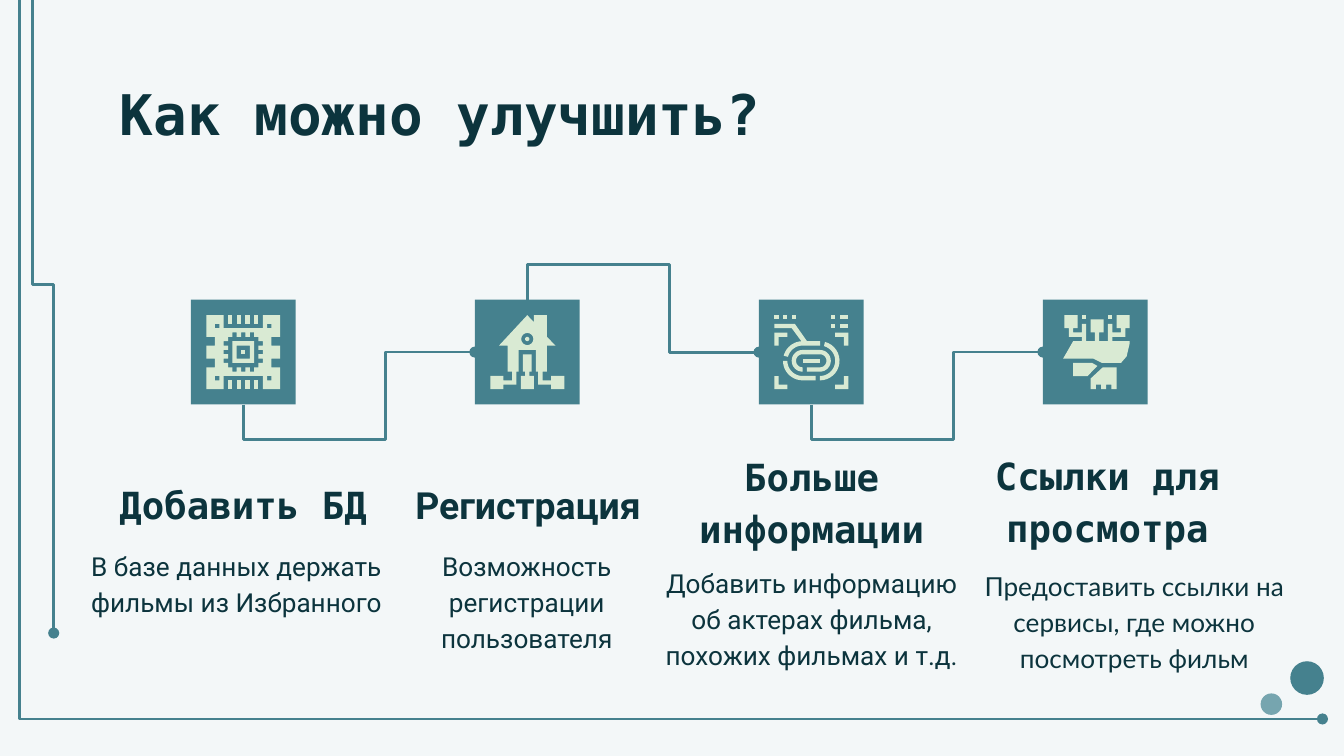
from math import cos, radians, sin

from lxml.etree import SubElement
from pptx import Presentation
from pptx.dml.color import RGBColor
from pptx.enum.shapes import MSO_CONNECTOR as CONN, MSO_SHAPE as SHAPE
from pptx.enum.text import MSO_ANCHOR as ANCHOR, MSO_AUTO_SIZE as AUTO, PP_ALIGN as ALIGN
from pptx.oxml.ns import qn
from pptx.util import Inches, Pt

THEME = {
    "bg": "F3F7F8", "teal": "45818E", "soft": "76A5AF", "icon": "D9EAD3", "text": "0C343D",
    "mono": "DejaVu Sans Mono", "sans": "Roboto", "alt": "Lato",
    "title": 30, "head": 20, "body": 14, "line": 1.5, "spacing": 1.15,
}

TITLE = "Как можно улучшить?"
CARDS = [
    {"head": ("Добавить БД", "mono", (0.78, 3.52, 2.06, 0.5)),
     "body": ("В базе данных держать фильмы из Избранного", "sans", (0.56, 3.96, 2.4, 0.63))},
    {"head": ("Регистрация", "sans", (2.9, 3.52, 2.06, 0.5)),
     "body": ("Возможность регистрации пользователя", "sans", (2.89, 3.96, 2.06, 0.63))},
    {"head": ("Больше информации", "mono", (5.01, 3.7, 2.06, 0.5)),
     "body": ("Добавить информацию об актерах фильма, похожих фильмах и т.д.", "sans",
              (4.78, 4.09, 2.52, 0.63))},
    {"head": ("Ссылки для просмотра", "mono", (7.21, 3.69, 2.06, 0.5)),
     "body": ("Предоставить ссылки на сервисы, где можно посмотреть фильм", "alt",
              (7.18, 4.11, 2.52, 0.63))},
]
DISCS = [(9.38, 5.16, 0.16, "soft"), (9.6, 4.92, 0.25, "teal")]
TILE_LEFT, TILE_LAST, TILE_TOP, TILE = 1.42, 7.76, 2.23, 0.78
ICON, GRID = 0.55, 17


def box(x, y, w=1, h=1):
    return [(x, y), (x, y + h), (x + w, y + h), (x + w, y)]


def arc(cx, cy, radius, start, end, steps=16):
    angles = [radians(start + (end - start) * i / steps) for i in range(steps + 1)]
    return [(cx + radius * cos(a), cy + radius * sin(a)) for a in angles]


def mirror(points):
    return [(GRID - x, y) for x, y in points]


def quarter_turns(points):
    ring = []
    for _ in range(4):
        ring += points
        points = [(GRID - y, x) for x, y in points]
    return ring


BOARD = [(4, 3), (4, 0), (0, 0), (0, 5), (2, 5), (2, 7), (0, 7), (0, 10), (2, 10), (2, 12),
         (0, 12), (0, 17), (4, 17), (4, 14)]
TEETH = [(12, 5), (12, 6), (13, 6), (13, 7), (12, 7), (12, 8), (13, 8), (13, 9), (12, 9),
         (12, 10), (13, 10), (13, 11), (12, 11)]
CHIP = [
    [BOARD + mirror(BOARD)[::-1], quarter_turns(TEETH)]
    + [box(x, y) for x in (2, 14) for y in (2, 14)],
    [box(6, 6, 5, 5), box(7, 7, 3, 3)],
    [box(8, 8)],
] + [[box(x, y, 1, 2)] for x in (5, 7, 9, 11) for y in (0, 15)]

HOUSE = [
    [[(8.5, 0), (2, 7), (4, 7), (4, 13), (5, 13), (5, 15), (3, 15), (3, 14), (0, 14), (0, 17),
      (3, 17), (3, 16), (6, 16), (6, 13), (6.5, 13), (6.5, 8), (10.5, 8), (10.5, 13), (11, 13),
      (11, 16), (14, 16), (14, 17), (17, 17), (17, 14), (14, 14), (14, 15), (12, 15), (12, 13),
      (13, 13), (13, 7), (15, 7), (13, 5), (13, 0), (10, 0), (10, 1.6)],
     arc(8.5, 5.5, 1.4, 0, 360)],
    [arc(8.5, 5.5, 0.5, 0, 360)],
    [[(7.5, 9), (7.5, 13), (8, 13), (8, 14), (7, 14), (7, 17), (10, 17), (10, 14), (9, 14),
      (9, 13), (9.5, 13), (9.5, 9)]],
]

CORNERS = [[(0, 4), (0, 7), (1, 7), (1, 5), (3, 5), (3, 4)],
           [(0, 14), (0, 17), (3, 17), (3, 16), (1, 16), (1, 14)]]
LEFT, RIGHT = (6.5, 10.5), (10.5, 10.5)
FINGERPRINT = [[c] for c in CORNERS + [mirror(c) for c in CORNERS]] + [
    [box(x, y, w)] for x, y, w in
    [(0, 0, 1), (2, 0, 1), (4, 0, 1), (13, 0, 1), (13, 2, 1), (15, 0, 2), (15, 2, 2)]
] + [
    [[(0, 2), (0, 3), (4, 3), (6.2, 6)] + arc(*LEFT, 4.5, 265, 195) + arc(*LEFT, 3.5, 195, 270)
     + [(10.5, 7), (10.5, 6), (7.5, 6), (4.7, 2)]],
    [arc(*RIGHT, 4.5, -75, 90) + arc(*RIGHT, 3.5, 90, -75)],
    [arc(*LEFT, 4.5, 180, 90) + [(9.5, 15), (9.5, 14)] + arc(*LEFT, 3.5, 90, 180)],
    [arc(*LEFT, 2.5, 90, 270) + arc(*RIGHT, 2.5, -90, 90) + [(7.5, 13), (7.5, 12)]
     + arc(*RIGHT, 1.5, 90, -90) + arc(*LEFT, 1.5, 270, 90)],
    [box(6.5, 10, 4, 1)],
]

HAND = [
    [[(13, 0), (13, 3), (14, 3), (14, 4), (12, 4), (12, 2), (11, 2), (11, 6), (9, 6), (9, 4),
      (10, 4), (10, 1), (7, 1), (7, 4), (8, 4), (8, 6), (6, 6), (6, 2), (5, 2), (5, 4), (3, 4),
      (3, 3), (4, 3), (4, 0), (1, 0), (1, 3), (2, 3), (2, 5), (5, 5), (5, 6), (3, 6), (0.7, 10),
      (7.6, 10), (9.6, 11), (14, 11), (15.3, 9.5), (16, 6.5), (16, 6), (12, 6), (12, 5), (15, 5),
      (15, 3), (16, 3), (16, 0)]],
    [box(5, 0)],
    [box(11, 0)],
    [[(9.8, 12), (7, 14.6), (7, 17), (8.2, 17), (8.2, 16), (9.4, 16), (9.4, 17), (10.6, 17),
      (10.6, 16), (11.8, 16), (11.8, 17), (13, 17), (13, 12)]],
    [[(3, 11), (3, 14), (6.3, 14), (8.6, 11.7), (7.4, 11)]],
]
ICONS = [(CHIP, 0), (HOUSE, 0), (FINGERPRINT, 0), (HAND, 0.4)]


def color(key):
    return RGBColor.from_string(THEME[key])


def paint(sp, key):
    sp.shadow.inherit = False
    sp.fill.solid()
    sp.fill.fore_color.rgb = color(key)
    sp.line.fill.background()


def write(sp, text, font, size, anchor=ANCHOR.TOP, align=ALIGN.CENTER, bold=False, spacing=1.0):
    tf = sp.text_frame
    tf.text = text
    tf.word_wrap = True
    tf.auto_size = AUTO.NONE
    tf.vertical_anchor = anchor
    tf.margin_left = tf.margin_right = tf.margin_top = tf.margin_bottom = Inches(0.1)
    p = tf.paragraphs[0]
    p.alignment, p.line_spacing = align, spacing
    f = p.runs[0].font
    f.name, f.size, f.bold = THEME[font], Pt(THEME[size]), bold
    f.color.rgb = color("text")


def bent(shapes, start, end, adjusts, upright=True):
    (x1, y1), (x2, y2) = start, end
    w, h = abs(x2 - x1), abs(y2 - y1)
    if upright:
        w, h = h, w
    left, top = (x1 + x2 - w) / 2, (y1 + y2 - h) / 2
    cx = shapes.add_connector(CONN.ELBOW, *map(Inches, (left, top, left + w, top + h)))
    cx.line.color.rgb = color("teal")
    cx.line.width = Pt(THEME["line"])
    props = cx._element.spPr
    if upright:
        props.xfrm.set("rot", "16200000")
        if y2 > y1:
            props.xfrm.set("flipH", "1")
    geom = props.find(qn("a:prstGeom"))
    geom.set("prst", f"bentConnector{len(adjusts) + 2}")
    guides = geom.find(qn("a:avLst"))
    for i, value in enumerate(adjusts, 1):
        SubElement(guides, qn("a:gd"), name=f"adj{i}", fmla=f"val {value}")
    SubElement(props.find(qn("a:ln")), qn("a:tailEnd"), type="oval")
    SubElement(props, qn("a:effectLst"))


def draw_icon(shapes, contour_sets, left, top):
    group = shapes.add_group_shape()
    for contours in contour_sets:
        paths = [[(x * 100, y * 100) for x, y in c] for c in contours]
        fb = group.shapes.build_freeform(*paths[0][0], scale=Inches(ICON) / GRID / 100)
        fb.add_line_segments(paths[0][1:])
        for points in paths[1:]:
            fb.move_to(*points[0])
            fb.add_line_segments(points[1:])
        paint(fb.convert_to_shape(Inches(left), Inches(top)), "icon")


prs = Presentation()
prs.slide_width = Inches(10)
prs.slide_height = prs.slide_width * 9 // 16
slide = prs.slides.add_slide(prs.slide_layouts[5])
shapes = slide.shapes
slide.background.fill.solid()
slide.background.fill.fore_color.rgb = color("bg")

for x, y, size, key in DISCS:
    paint(shapes.add_shape(SHAPE.OVAL, *map(Inches, (x, y, size, size))), key)
bent(shapes, (0.07, -0.65), (9.84, 5.35), [800], upright=False)
bent(shapes, (0.24, -0.48), (0.4, 4.71), [50000])

title = shapes.title
title.left, title.top, title.width, title.height = map(Inches, (0.79, 0.49, 8.43, 0.63))
write(title, TITLE, "mono", "title", align=ALIGN.LEFT, bold=True)

step = (TILE_LAST - TILE_LEFT) / (len(CARDS) - 1)
inset = (TILE - ICON) / 2
for i, (card, (icon, shift)) in enumerate(zip(CARDS, ICONS)):
    x = TILE_LEFT + i * step
    paint(shapes.add_shape(SHAPE.RECTANGLE, *map(Inches, (x, TILE_TOP, TILE, TILE))), "teal")
    draw_icon(shapes, icon, x + inset + shift * ICON / GRID, TILE_TOP + inset)
    for part, anchor in (("head", ANCHOR.BOTTOM), ("body", ANCHOR.TOP)):
        text, font, place = card[part]
        write(shapes.add_textbox(*map(Inches, place)), text, font, part, anchor,
              bold=part == "head", spacing=THEME["spacing"])

for i in range(len(CARDS) - 1):
    x = TILE_LEFT + i * step
    start_y = TILE_TOP if i % 2 else TILE_TOP + TILE
    bent(shapes, (x + TILE / 2, start_y), (x + step, TILE_TOP + TILE / 2), [-66500, 61400])

prs.save("out.pptx")
